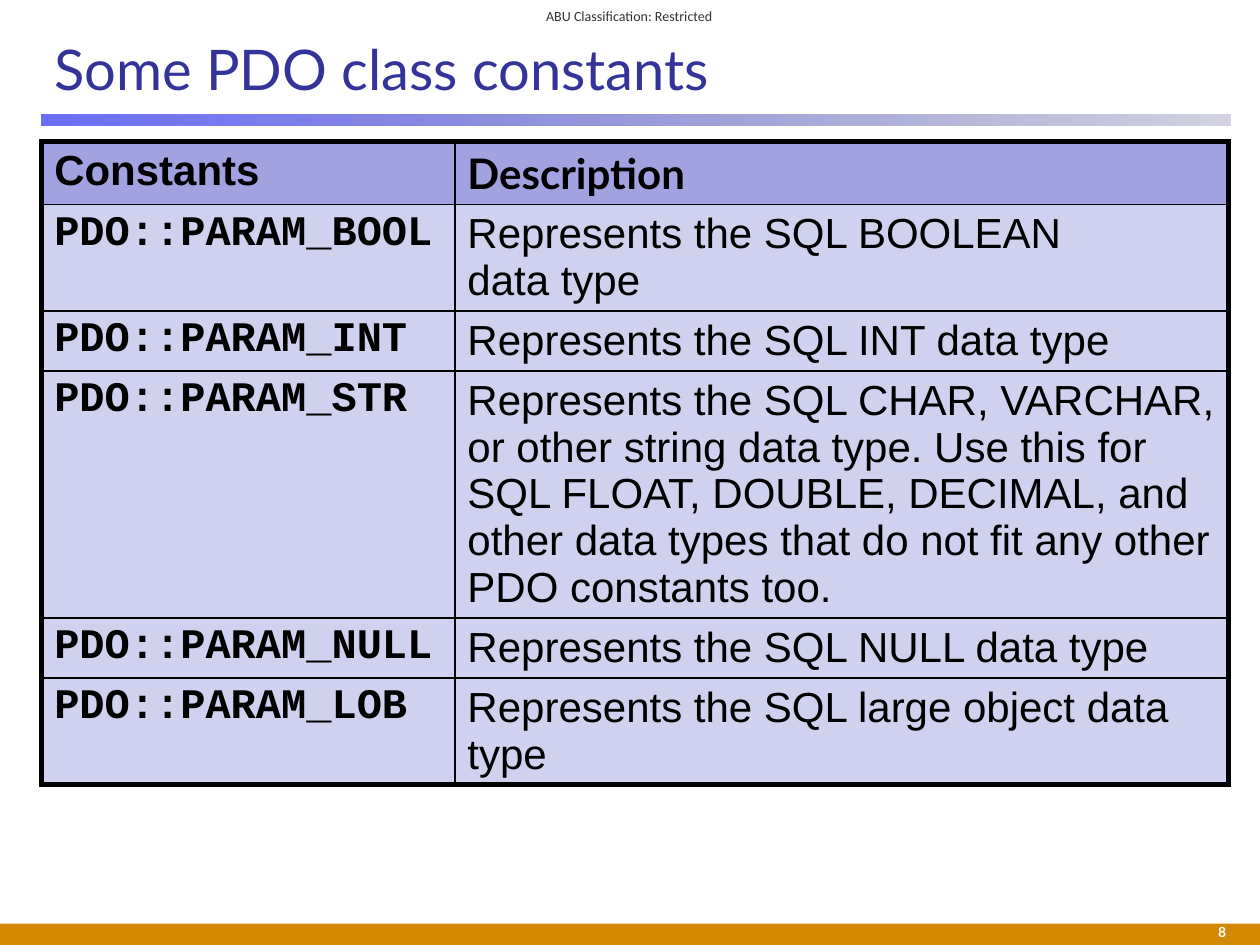
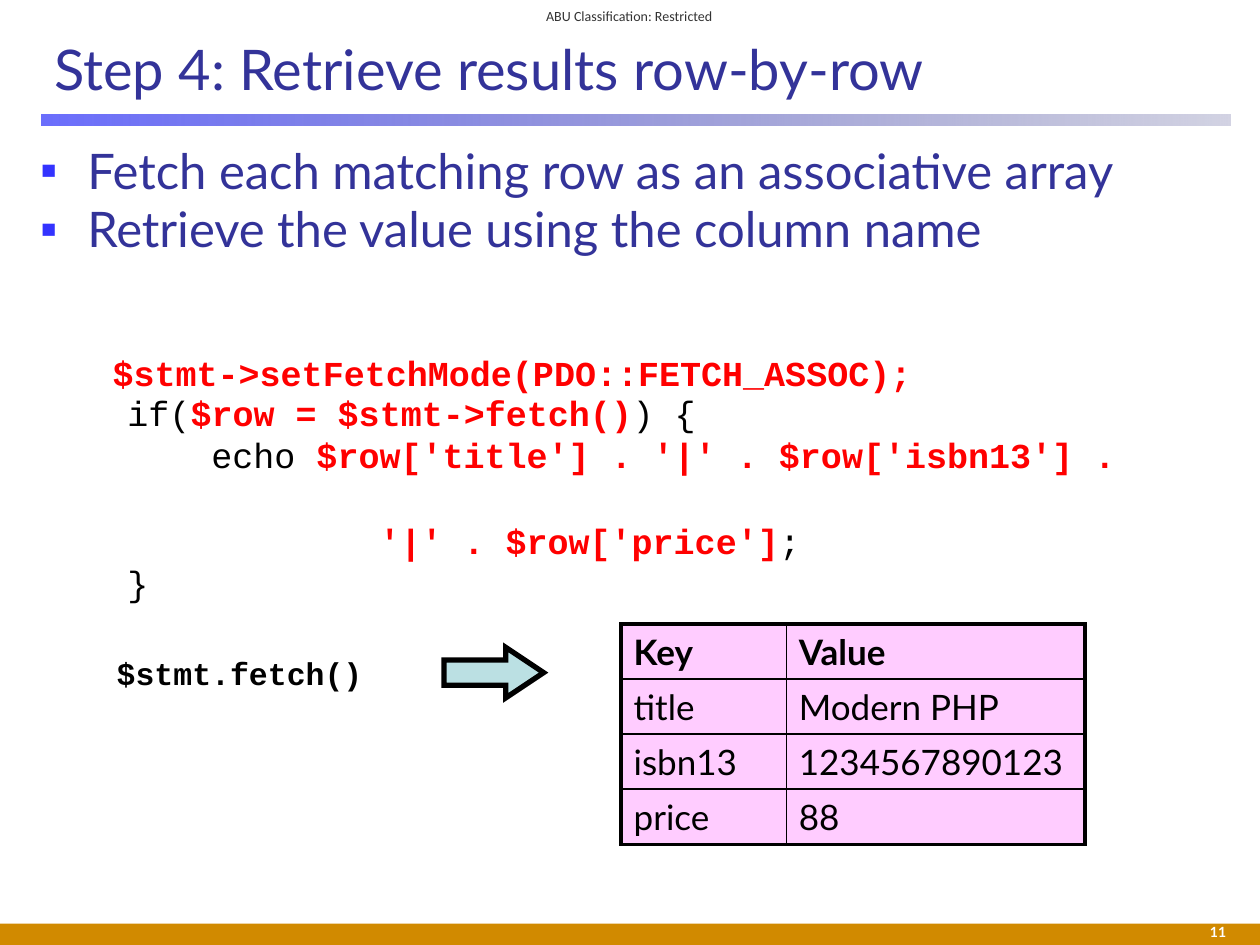
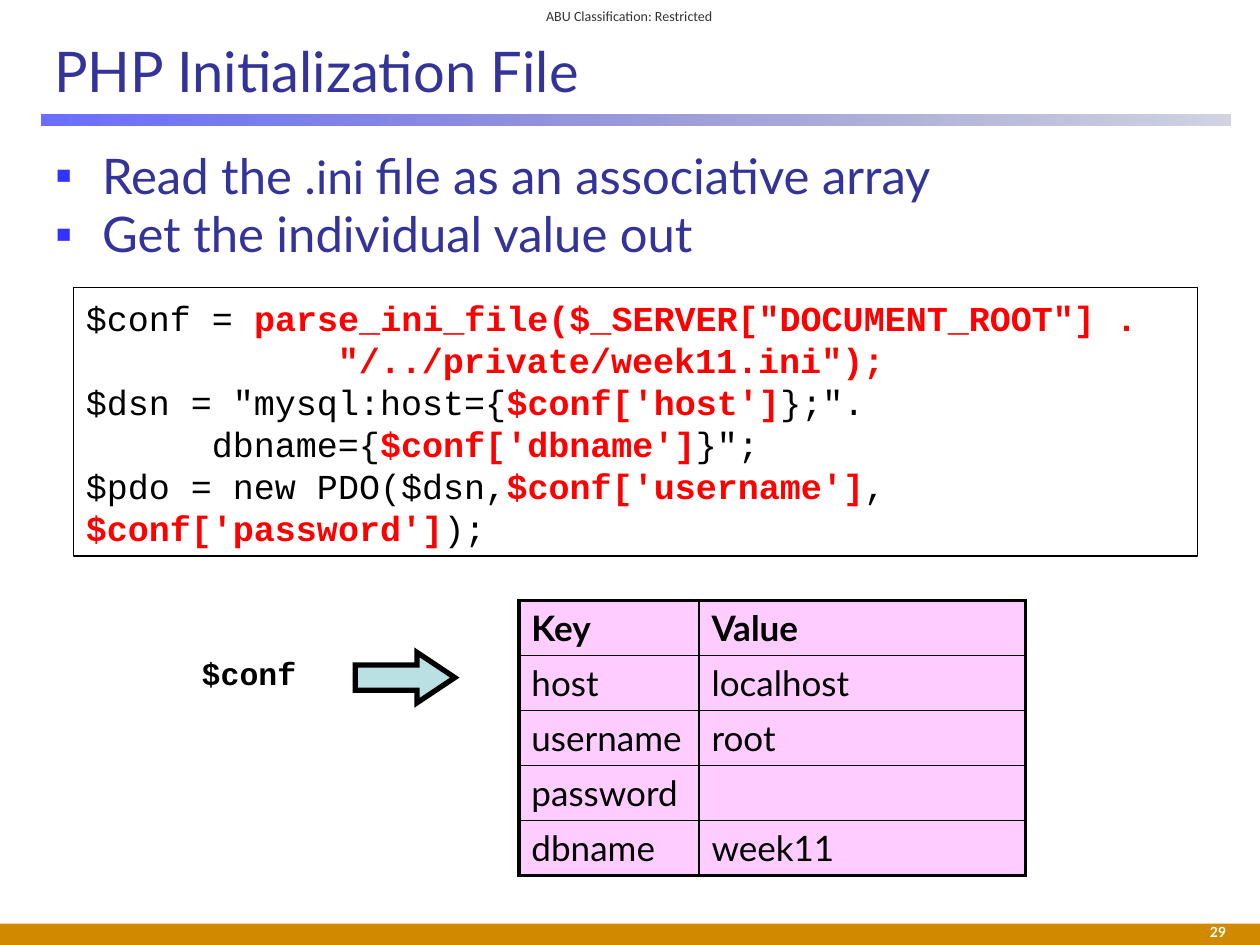
from lxml import etree
from pptx import Presentation
from pptx.dml.color import RGBColor
from pptx.enum import shapes, text
from pptx.oxml.ns import qn
from pptx.util import Cm, Pt

hue = RGBColor.from_string
INK, NAVY, RED, WHITE = "000000", "333399", "FF0000", "FFFFFF"
GOLD, PINK, TEAL = "D18A00", "FFCCFF", "BBE0E3"
LEFT, MID, RIGHT = text.PP_ALIGN.LEFT, text.PP_ALIGN.CENTER, text.PP_ALIGN.RIGHT
MONO = "Courier New"
HOT = {"name": MONO, "bold": True, "tint": RED}


def write(frame, lines, size, name="Lato", tint=INK, bold=False, mark=HOT, **form):
    """Fill a frame with one paragraph a line; parts between ~ signs get the mark format."""
    frame.word_wrap = True
    for i, line in enumerate(lines):
        para = frame.add_paragraph() if i else frame.paragraphs[0]
        for key, value in form.items():
            setattr(para, key, value)
        for j, part in enumerate(line.split("~")):
            for k, piece in enumerate(part.split("\v")):
                if k:
                    para.add_line_break()
                if not piece:
                    continue
                run = para.add_run()
                run.text = piece
                look = {"name": name, "size": Pt(size), "bold": bold, "tint": tint}
                look.update(mark if j % 2 else {})
                run.font.color.rgb = hue(look.pop("tint"))
                for key, value in look.items():
                    setattr(run.font, key, value)


def grid(slide, left, top, cols, highs, data, edge, size, head, body, faces, **form):
    """Add a table with thick outer edges; faces holds the header fonts, then the body fonts."""
    table = slide.shapes.add_table(len(highs), len(cols), Cm(left), Cm(top),
                                   Cm(sum(cols)), Cm(sum(highs))).table
    for col, width in zip(table.columns, cols):
        col.width = Cm(width)
    for r, high in enumerate(highs):
        table.rows[r].height = Cm(high)
        for c in range(len(cols)):
            cell = table.cell(r, c)
            outer = {"L": c == 0, "R": c == len(cols) - 1,
                     "T": r == 0, "B": r == len(highs) - 1}
            props = cell._tc.get_or_add_tcPr()
            for side, thick in outer.items():
                line = etree.SubElement(props, qn("a:ln" + side), w=str(int(Pt(edge if thick else 1))))
                fill = etree.SubElement(line, qn("a:solidFill"))
                etree.SubElement(fill, qn("a:srgbClr"), val=INK)
            cell.fill.solid()
            cell.fill.fore_color.rgb = hue(body if r else head)
            face = faces[min(r, 1)][c]
            write(cell.text_frame, [data[r][c]], size, face,
                  bold=r == 0 or face == MONO, **(form if r else {}))


deck = Presentation()
deck.slide_width, deck.slide_height = Cm(25.4), Cm(19.05)
pages = []

# Shared parts: title, gradient rule, footer band, label and page number
for title, number, top in (("Some PDO class constants", "8", 0.41),
                           ("Step 4: Retrieve results row-by-row", "11", 0.41),
                           ("PHP Initialization File", "29", 0.45)):
    slide = deck.slides.add_slide(deck.slide_layouts[5])
    pages.append(slide)
    for box in ((0, 18.62, 25.4, 0.43), (0.84, 2.31, 23.97, 0.23)):
        band = slide.shapes.add_shape(shapes.MSO_SHAPE.RECTANGLE, *map(Cm, box))
        band.shadow.inherit = False
        band.line.fill.background()
        if box[0]:
            band.fill.gradient()
            band.fill.gradient_angle = 0
            for stop, tint in zip(band.fill.gradient_stops, ("464AFC", "202275")):
                stop.color.rgb = hue(tint)
            for node, alpha in zip(band._element.spPr.iter(qn("a:srgbClr")), ("80000", "20000")):
                etree.SubElement(node, qn("a:alpha"), val=alpha)
        else:
            band.fill.solid()
            band.fill.fore_color.rgb = hue(GOLD)
    name = slide.shapes.title
    name.left, name.top, name.width, name.height = map(Cm, (0.84, top, 23.93, 1.91))
    name.text_frame.auto_size = text.MSO_AUTO_SIZE.NONE
    name.text_frame.vertical_anchor = text.MSO_ANCHOR.MIDDLE
    write(name.text_frame, [title], 32, tint=NAVY, alignment=LEFT)
    label = slide.shapes.add_textbox(*map(Cm, (10.62, 0, 4.14, 0.64))).text_frame
    label.vertical_anchor = text.MSO_ANCHOR.MIDDLE
    label.margin_top = label.margin_bottom = 0
    write(label, ["ABU Classification: Restricted"], 8, "Calibri", "333333", alignment=MID)
    page = slide.shapes.add_textbox(*map(Cm, (21.36, 18.5, 3.61, 0.55))).text_frame
    write(page, [number], 8, tint=WHITE, bold=True, alignment=RIGHT)

consts, fetch, conf = pages

# Constants table
grid(consts, 0.84, 2.85, (8.33, 15.6), (1.27, 2.13, 1.21, 4.98, 1.21, 2.15), (
    ("Constants", "Description"),
    ("PDO::PARAM_BOOL", "Represents the SQL BOOLEAN \vdata type"),
    ("PDO::PARAM_INT", "Represents the SQL INT data type"),
    ("PDO::PARAM_STR", "Represents the SQL CHAR, VARCHAR, or other string data type. "
     "Use this for SQL FLOAT, DOUBLE, DECIMAL, and other data types that do not fit "
     "any other PDO constants too."),
    ("PDO::PARAM_NULL", "Represents the SQL NULL data type"),
    ("PDO::PARAM_LOB", "Represents the SQL large object data type"),
), 3, 24, "A2A2E0", "D0D0EF", (("Arial", "Lato"), (MONO, "Arial")), line_spacing=Pt(26.8))

# Bullets
for slide, left, top, points in (
        (fetch, 0.56, 2.7, ("Fetch each matching row as an associative array",
                            "Retrieve the value using the column name")),
        (conf, 0.86, 2.8, ("Read the .~ini ~file as an associative array",
                           "Get the individual value out"))):
    frame = slide.shapes.add_textbox(*map(Cm, (left, top, 23.93, 2.7))).text_frame
    write(frame, points, 28, tint=NAVY, mark={"name": "Calibri"})
    for para in frame.paragraphs:
        props = para._p.get_or_add_pPr()
        props.set("marL", str(int(Cm(0.95))))
        props.set("indent", str(int(Cm(-0.95))))
        color = etree.SubElement(props, qn("a:buClr"))
        etree.SubElement(color, qn("a:srgbClr"), val="3333FF")
        etree.SubElement(props, qn("a:buFont"), typeface="Arial")
        etree.SubElement(props, qn("a:buChar"), char="▪")

# Code, each line with its indent
mode = fetch.shapes.add_textbox(*map(Cm, (2.02, 6.97, 20, 1.1)))
loop = fetch.shapes.add_textbox(*map(Cm, (2.32, 7.77, 20.85, 4.6)))
setup = conf.shapes.add_shape(shapes.MSO_SHAPE.RECTANGLE, *map(Cm, (1.48, 5.8, 22.66, 5.41)))
setup.shadow.inherit = False
setup.fill.background()
setup.line.color.rgb = hue(INK)
setup.line.width = Pt(0.75)
setup.text_frame.vertical_anchor = text.MSO_ANCHOR.TOP
setup.text_frame.margin_top = Cm(0.18)
for box, lines in (
        (mode, ((0, "~$stmt->setFetchMode(PDO::FETCH_ASSOC);~"),)),
        (loop, ((0, "if(~$row = $stmt->fetch()~) {"),
                (1.69, "echo ~$row['title'] . '|' . $row['isbn13'] .~"),
                (5.08, "~'|' . $row['price']~;"),
                (0, "}"))),
        (setup, ((0, '$conf = ~parse_ini_file($_SERVER["DOCUMENT_ROOT"] .~'),
                 (5.08, '~"/../private/week11.ini");~'),
                 (0, "$dsn = \"mysql:host={~$conf['host']~};\"."),
                 (2.54, "dbname={~$conf['dbname']~}\";"),
                 (0, "$pdo = new PDO($dsn,~$conf['username']~,~$conf['password']~);")))):
    write(box.text_frame, [line for _, line in lines], 20, MONO,
          alignment=LEFT, line_spacing=Pt(24))
    for para, (indent, _) in zip(box.text_frame.paragraphs, lines):
        para._p.get_or_add_pPr().set("marL", str(int(Cm(indent))))
loop.text_frame.paragraphs[2].space_before = Pt(25)

# Call, arrow and resulting array
for slide, call, left, spot, place, cols, data in (
        (fetch, "$stmt.fetch()", 1.77, (8.95, 13.05), (12.52, 12.58), (3.33, 6.02),
         (("Key", "Value"), ("title", "Modern PHP"),
          ("isbn13", "1234567890123"), ("price", "88"))),
        (conf, "$conf", 1.96, (7.16, 13.15), (10.46, 12.1), (3.63, 6.58),
         (("Key", "Value"), ("host", "localhost"), ("username", "root"),
          ("password", ""), ("dbname", "week11")))):
    frame = slide.shapes.add_textbox(*map(Cm, (left, 13.06, 6.12, 1))).text_frame
    write(frame, [call], 18, MONO, bold=True, alignment=MID, line_spacing=Pt(21.6))
    arrow = slide.shapes.add_shape(shapes.MSO_SHAPE.RIGHT_ARROW, *map(Cm, (*spot, 2.01, 1.02)))
    arrow.adjustments[1] = 0.75
    arrow.shadow.inherit = False
    arrow.fill.solid()
    arrow.fill.fore_color.rgb = hue(TEAL)
    arrow.line.color.rgb = hue(INK)
    arrow.line.width = Pt(3)
    etree.SubElement(arrow.line._get_or_add_ln(), qn("a:miter"), lim="800000")
    grid(slide, *place, cols, [1.11] * len(data), data, 2.25, 20, PINK, PINK,
         (("Lato", "Lato"),) * 2)

deck.save("out.pptx")
